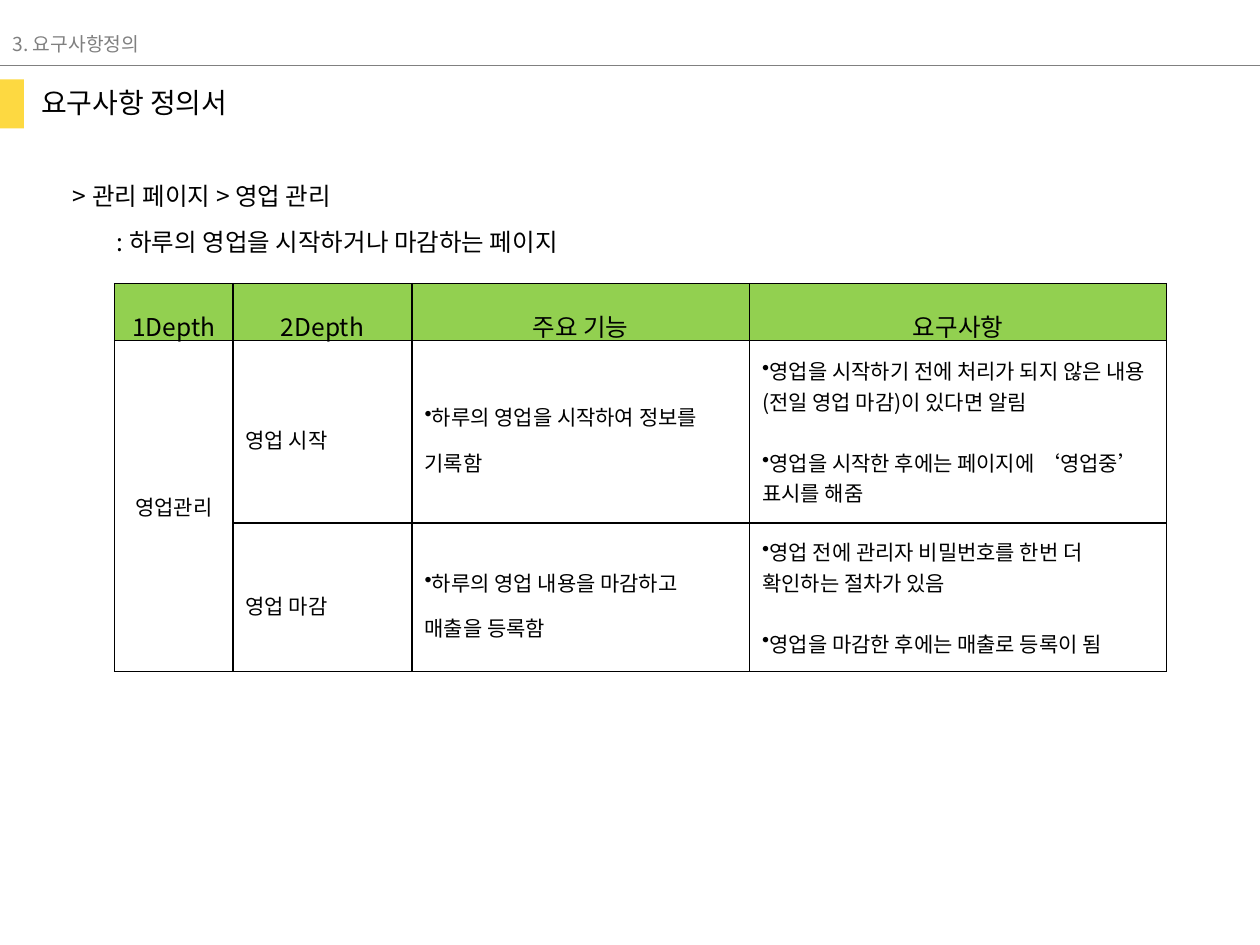
from lxml import etree
from pptx import Presentation
from pptx.dml.color import RGBColor
from pptx.enum.shapes import MSO_CONNECTOR, MSO_SHAPE
from pptx.enum.text import MSO_ANCHOR, MSO_AUTO_SIZE, PP_ALIGN
from pptx.oxml import parse_xml
from pptx.oxml.ns import qn
from pptx.util import Inches, Pt

FONT = "Noto Sans CJK KR"
BLACK = RGBColor(0x00, 0x00, 0x00)
GRAY = RGBColor(0x80, 0x80, 0x80)
YELLOW = RGBColor(0xFD, 0xD9, 0x41)
GREEN = RGBColor(0x92, 0xD0, 0x50)
RECTANGLE = MSO_SHAPE.RECTANGLE
STRAIGHT = MSO_CONNECTOR.STRAIGHT
MIDDLE = MSO_ANCHOR.MIDDLE
GROW = MSO_AUTO_SIZE.SHAPE_TO_FIT_TEXT
LEFT, CENTER = PP_ALIGN.LEFT, PP_ALIGN.CENTER
BULLET = "•"
BLANK_LAYOUT = 6
DRAWING_NS = "http://schemas.openxmlformats.org/drawingml/2006/main"

COLUMN_WIDTHS = (0.94, 1.42, 2.68, 3.31)
ROW_HEIGHTS = (0.43, 1.45, 1.18)
HEADINGS = ("1Depth", "2Depth", "주요 기능", "요구사항")
GROUP = "영업관리"
# Each row: second depth, main function, requirements
FEATURES = (
    ("영업 시작", "•하루의 영업을 시작하여 정보를 기록함",
     ("•영업을 시작하기 전에 처리가 되지 않은 내용(전일 영업 마감)이 있다면 알림",
      "•영업을 시작한 후에는 페이지에 ‘영업중’",
      "표시를 해줌")),
    ("영업 마감", "•하루의 영업 내용을 마감하고 매출을 등록함",
     ("•영업 전에 관리자 비밀번호를 한번 더 확인하는 절차가 있음",
      "•영업을 마감한 후에는 매출로 등록이 됨")),
)


def style_paragraph(paragraph, size, color=BLACK):
    for run in paragraph.runs:
        run.font.size = Pt(size)
        run.font.color.rgb = color
        run.font.name = FONT
        east_asian = etree.SubElement(run.font._element, qn("a:ea"))
        east_asian.set("typeface", FONT)


def add_label(slide, text, left, top, width, height, size, color=BLACK):
    label = slide.shapes.add_textbox(left, top, width, height)
    frame = label.text_frame
    frame.word_wrap = True
    frame.auto_size = GROW
    frame.text = text
    style_paragraph(frame.paragraphs[0], size, color)


def add_header(slide, left, top, width):
    """Section name, rule, and the marked page title."""
    add_label(slide, "3. 요구사항정의", left, top + Inches(0.21),
              Inches(1.61), Inches(0.29), 11, GRAY)

    # Rule under the section name
    rule_y = top + Inches(0.52)
    rule = slide.shapes.add_connector(STRAIGHT, left, rule_y, left + width, rule_y)
    rule.line.color.rgb = GRAY
    rule.line.width = Pt(1)
    etree.SubElement(rule._element.spPr, qn("a:effectLst"))

    # Title with its yellow marker
    title_y = top + Inches(0.63)
    marker = slide.shapes.add_shape(RECTANGLE, left - Inches(0.01), title_y,
                                    Inches(0.2), Inches(0.39))
    marker.shadow.inherit = False
    marker.fill.solid()
    marker.fill.fore_color.rgb = YELLOW
    marker.line.fill.background()
    add_label(slide, "요구사항 정의서", left + Inches(0.23), title_y,
              Inches(2.04), Inches(0.37), 16)


def add_page_path(slide, left, top):
    """Breadcrumb and the description of the page."""
    add_label(slide, "> 관리 페이지 > 영업 관리", left, top,
              Inches(2.71), Inches(0.34), 14)
    add_label(slide, ": 하루의 영업을 시작하거나 마감하는 페이지",
              left + Inches(0.35), top + Inches(0.36),
              Inches(4.17), Inches(0.34), 14)


def add_borders(cell):
    properties = cell._tc.get_or_add_tcPr()
    for index, side in enumerate(("lnL", "lnR", "lnT", "lnB")):
        properties.insert(index, parse_xml(
            f'<a:{side} xmlns:a="{DRAWING_NS}" w="{Pt(1)}"><a:solidFill>'
            f'<a:srgbClr val="{BLACK}"/></a:solidFill></a:{side}>'))


def fill_cell(cell, lines, size=12, align=LEFT, spacing=1.0):
    """Write one paragraph per line; a leading bullet becomes a list marker."""
    cell.vertical_anchor = MIDDLE
    frame = cell.text_frame
    frame.text = "\n".join(line.lstrip(BULLET) for line in lines)
    for index, (paragraph, line) in enumerate(zip(frame.paragraphs, lines)):
        paragraph.alignment = align
        paragraph.line_spacing = spacing
        if line.startswith(BULLET):
            if index:
                paragraph.space_before = Pt(17.4)
            marker = etree.SubElement(paragraph._p.get_or_add_pPr(), qn("a:buChar"))
            marker.set("char", BULLET)
        style_paragraph(paragraph, size)


def add_requirements_table(slide, left, top, width, height):
    table = slide.shapes.add_table(len(ROW_HEIGHTS), len(COLUMN_WIDTHS),
                                   left, top, width, height).table
    for column, column_width in zip(table.columns, COLUMN_WIDTHS):
        column.width = Inches(column_width)
    for row, row_height in zip(table.rows, ROW_HEIGHTS):
        row.height = Inches(row_height)

    # Fills and borders
    for row_index, row in enumerate(table.rows):
        for cell in row.cells:
            if row_index == 0:
                cell.fill.solid()
                cell.fill.fore_color.rgb = GREEN
            else:
                cell.fill.background()
            add_borders(cell)

    # Heading row
    for column_index, heading in enumerate(HEADINGS):
        fill_cell(table.cell(0, column_index), [heading], 14, CENTER, 1.5)

    # Group cell and its features
    table.cell(1, 0).merge(table.cell(len(FEATURES), 0))
    fill_cell(table.cell(1, 0), [GROUP], align=CENTER)
    for row_index, (depth, function, requirements) in enumerate(FEATURES, 1):
        fill_cell(table.cell(row_index, 1), [depth], spacing=1.5)
        fill_cell(table.cell(row_index, 2), [function], spacing=1.5)
        fill_cell(table.cell(row_index, 3), requirements)


def main():
    presentation = Presentation()
    presentation.slide_width = Inches(10)
    presentation.slide_height = Inches(7.5)
    slide = presentation.slides.add_slide(presentation.slide_layouts[BLANK_LAYOUT])
    add_header(slide, Inches(0), Inches(0), Inches(10))
    add_page_path(slide, Inches(0.48), Inches(1.39))
    add_requirements_table(slide, Inches(0.91), Inches(2.25),
                           Inches(sum(COLUMN_WIDTHS)), Inches(sum(ROW_HEIGHTS)))
    presentation.save("out.pptx")


if __name__ == "__main__":
    main()
